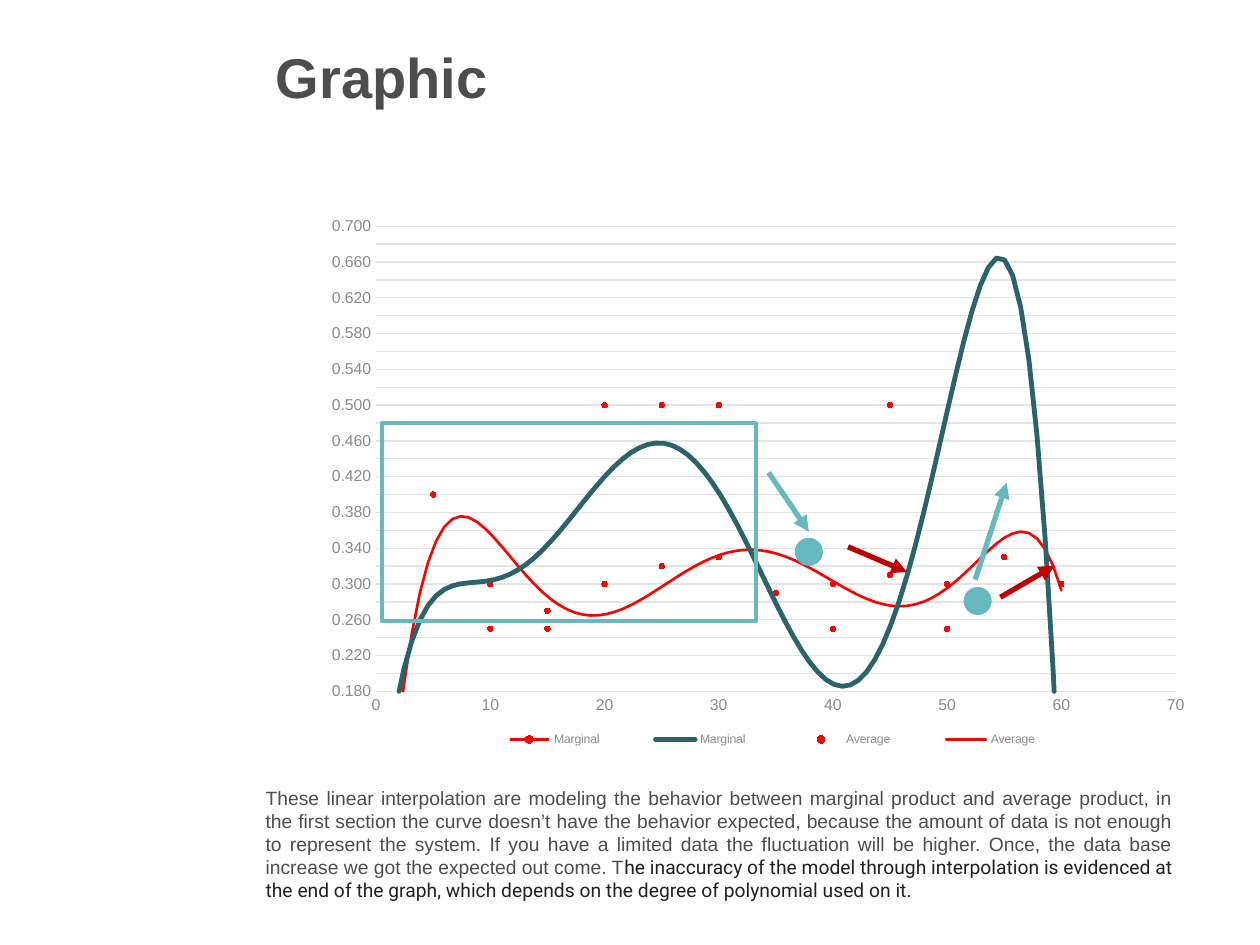
from dataclasses import dataclass

from pptx import Presentation
from pptx.chart.data import XyChartData
from pptx.dml.color import RGBColor
from pptx.enum.chart import XL_CHART_TYPE as ChartType
from pptx.enum.chart import XL_LEGEND_POSITION as LegendPosition
from pptx.enum.chart import XL_MARKER_STYLE as MarkerStyle
from pptx.enum.chart import XL_TICK_MARK as TickMark
from pptx.enum.shapes import MSO_CONNECTOR as Connector
from pptx.enum.shapes import MSO_SHAPE as Shape
from pptx.enum.text import MSO_ANCHOR as Anchor
from pptx.enum.text import PP_ALIGN as Align
from pptx.oxml import parse_xml
from pptx.oxml.ns import nsdecls
from pptx.util import Inches, Pt


@dataclass(frozen=True)
class Theme:
    font: str = "Arial"
    accent_font: str = "Roboto"
    ink: str = "4D4D4D"
    dark: str = "202124"
    label: str = "8B8B8B"
    grid: str = "E4E4E4"
    teal: str = "65B9BF"
    deep_teal: str = "2B6468"
    red: str = "FF0000"
    dark_red: str = "C00000"
    title_size: float = 32
    body_size: float = 11
    axis_size: float = 9
    legend_size: float = 7


COLUMNS, ROWS = 100, 75  # square grid cells of a tenth of an inch
LAST_X = 60
MARGINAL = dict(zip([1, *range(5, LAST_X + 1, 5)],
                    [0, 0.4, 0.25, 0.25, 0.5, 0.5, 0.5, 0, 0.25, 0.5, 0.25, 0.75, 0]))
AVERAGE = dict(zip(MARGINAL,
                   [0, 0.4, 0.3, 0.27, 0.3, 0.32, 0.33, 0.29, 0.3, 0.31, 0.3, 0.33, 0.3]))
COMMENT = (
    "These linear interpolation are modeling the behavior between marginal product and "
    "average product, in the first section the curve doesn’t have the behavior expected, "
    "because the amount of data is not enough to represent the system. If you have a limited "
    "data the fluctuation will be higher. Once, the data base increase we got the expected "
    "out come. T",
    "he inaccuracy of the model through interpolation is evidenced at the end of the graph, "
    "which depends on the degree of polynomial used on it.",
)


def color(value):
    return RGBColor.from_string(value)


def set_layout(parent, index, x, y, width, height, target=""):
    for layout in parent.findall("{*}layout"):
        parent.remove(layout)
    parent.insert(index, parse_xml(
        f'<c:layout {nsdecls("c")}><c:manualLayout>{target}'
        '<c:xMode val="edge"/><c:yMode val="edge"/>'
        f'<c:x val="{x}"/><c:y val="{y}"/><c:w val="{width}"/><c:h val="{height}"/>'
        "</c:manualLayout></c:layout>"))


class SlideBuilder:
    def __init__(self, deck, theme):
        self.theme = theme
        self.page = deck.slides.add_slide(deck.slide_layouts[5])
        self.cell = deck.slide_width / COLUMNS

    def grid(self, *cells):
        return [round(cell * self.cell) for cell in cells]

    def style(self, font, size, tint, name=None, bold=False):
        font.name, font.size, font.bold = name or self.theme.font, Pt(size), bold
        font.color.rgb = color(tint)

    def stroke(self, line, tint, width):
        line.color.rgb, line.width = color(tint), Pt(width)

    def title(self, text, box):
        title = self.page.shapes.title
        title.left, title.top, title.width, title.height = self.grid(*box)
        frame = title.text_frame
        frame.text, frame.vertical_anchor = text, Anchor.MIDDLE
        para = frame.paragraphs[0]
        para.alignment = Align.LEFT
        self.style(para.runs[0].font, self.theme.title_size, self.theme.ink, bold=True)

    def comment(self, parts, box):
        frame = self.page.shapes.add_textbox(*self.grid(*box)).text_frame
        frame.word_wrap = True
        para = frame.paragraphs[0]
        para.alignment = Align.JUSTIFY
        looks = [(self.theme.ink, self.theme.font), (self.theme.dark, self.theme.accent_font)]
        for text, (tint, name) in zip(parts, looks):
            span = para.add_run()
            span.text = text
            self.style(span.font, self.theme.body_size, tint, name)

    def shape(self, kind, box, width, fill=None):
        shape = self.page.shapes.add_shape(kind, *self.grid(*box))
        shape.shadow.inherit = False
        if fill:
            shape.fill.solid()
            shape.fill.fore_color.rgb = color(fill)
        else:
            shape.fill.background()
        self.stroke(shape.line, self.theme.teal, width)

    def arrow(self, start, end, tint):
        arrow = self.page.shapes.add_connector(Connector.STRAIGHT, *self.grid(*start, *end))
        self.stroke(arrow.line, tint, 3)
        arrow.line._get_or_add_ln().append(
            parse_xml(f'<a:tailEnd {nsdecls("a")} type="triangle"/>'))
        arrow._element.spPr.append(parse_xml(f'<a:effectLst {nsdecls("a")}/>'))

    def axis(self, axis, low, high, step, number_format):
        axis.minimum_scale, axis.maximum_scale, axis.major_unit = low, high, step
        axis.major_tick_mark = axis.minor_tick_mark = TickMark.NONE
        axis.tick_labels.number_format = number_format
        axis.tick_labels.number_format_is_linked = False
        self.style(axis.tick_labels.font, self.theme.axis_size, self.theme.label)

    def trend(self, series, tint, width, intercept=""):
        series._element.find("{*}xVal").addprevious(parse_xml(
            f'<c:trendline {nsdecls("c", "a")}><c:name>{series.name}</c:name>'
            f'<c:spPr><a:ln w="{Pt(width)}" cap="rnd"><a:solidFill><a:srgbClr val="{tint}"/>'
            '</a:solidFill></a:ln></c:spPr><c:trendlineType val="poly"/><c:order val="6"/>'
            f'{intercept}<c:dispRSqr val="0"/><c:dispEq val="0"/></c:trendline>'))

    def scatter(self, box, samples):
        theme = self.theme
        data = XyChartData()
        for name, points in samples:
            series = data.add_series(name)
            for x in range(1, LAST_X + 1):
                series.add_data_point(x, points.get(x))
        chart = self.page.shapes.add_chart(
            ChartType.XY_SCATTER_LINES, *self.grid(*box), data).chart
        chart.has_title = False
        self.style(chart.font, 10, theme.ink)

        # Axes and gridlines
        self.axis(chart.category_axis, 0, 70, 10, "General")
        self.axis(chart.value_axis, 0.18, 0.7, 0.02, "0.000")
        chart.category_axis.has_major_gridlines = False
        chart.value_axis.has_major_gridlines = True
        self.stroke(chart.category_axis.format.line, theme.grid, 0.75)
        self.stroke(chart.value_axis.major_gridlines.format.line, theme.grid, 0.75)
        chart.value_axis.format.line.fill.background()

        # Points and sixth-degree trend lines
        marginal, average = chart.plots[0].series
        for series, edge in ((marginal, theme.deep_teal), (average, theme.red)):
            series.smooth = False
            series.marker.style, series.marker.size = MarkerStyle.CIRCLE, 3
            series.marker.format.fill.solid()
            series.marker.format.fill.fore_color.rgb = color(theme.red)
            self.stroke(series.marker.format.line, edge, 0.75)
            for point in series._element.findall("{*}yVal//{*}pt"):
                if point.find("{*}v").text == "None":  # blank samples leave gaps
                    point.getparent().remove(point)
        self.stroke(marginal.format.line, theme.red, 1.25)
        average.format.line.fill.background()
        self.trend(marginal, theme.deep_teal, 2.75, '<c:intercept val="0"/>')
        self.trend(average, theme.red, 1.5)

        # Legend and plot area
        chart.has_legend = True
        legend = chart.legend
        legend.position, legend.include_in_layout = LegendPosition.BOTTOM, False
        self.style(legend.font, theme.legend_size, theme.label)
        set_layout(legend._element, 1, 0.17, 0.9, 0.69, 0.06)
        set_layout(chart._chartSpace.find("{*}chart/{*}plotArea"), 0,
                   0.082, 0.054, 0.874, 0.794, '<c:layoutTarget val="inner"/>')


def main():
    deck = Presentation()
    deck.slide_width, deck.slide_height = Inches(COLUMNS / 10), Inches(ROWS / 10)
    theme = Theme()
    slide = SlideBuilder(deck, theme)

    # Heading and chart
    slide.title("Graphic", (20.9, 2.05, 75.6, 7.9))
    slide.scatter((23.9, 15.45, 72.6, 46.5), [("Marginal", MARGINAL), ("Average", AVERAGE)])

    # Crossing points and the arrows around them
    for left, top in ((63.4, 43), (76.8, 46.9)):
        slide.shape(Shape.OVAL, (left, top, 1.6, 1.6), 4.5, theme.teal)
    for start, end, tint in (
        ((61, 37.5), (64.2, 42.2), theme.teal),
        ((67.3, 43.4), (72, 45.4), theme.dark_red),
        ((77.4, 46), (79.9, 38.3), theme.teal),
        ((79.4, 47.4), (83.7, 44.9), theme.dark_red),
    ):
        slide.arrow(start, end, tint)

    # First section of the curve
    slide.shape(Shape.RECTANGLE, (30.3, 33.6, 29.7, 15.7), 2.25)

    slide.comment(COMMENT, (20.1, 61.9, 74, 10.3))
    deck.save("out.pptx")


if __name__ == "__main__":
    main()
